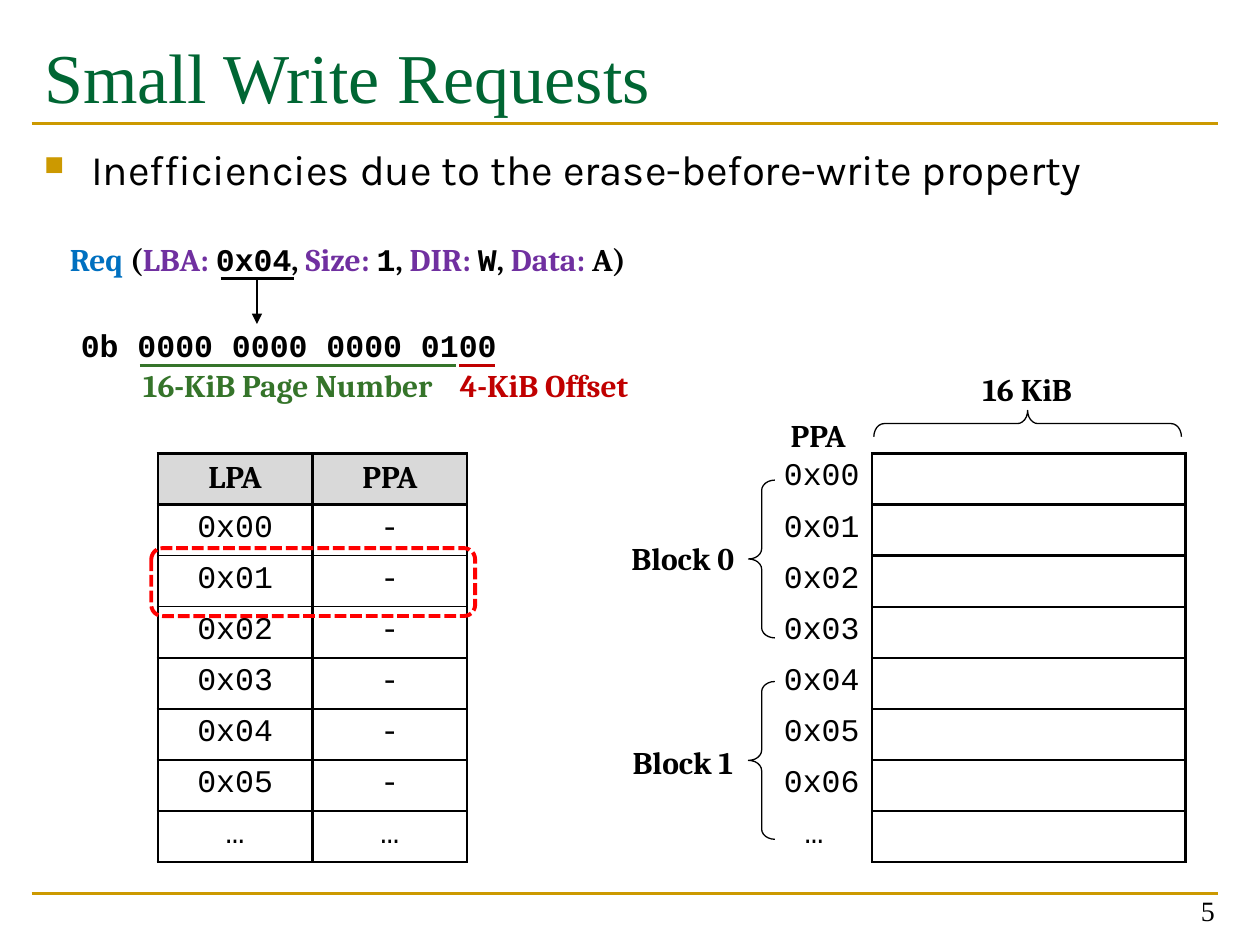
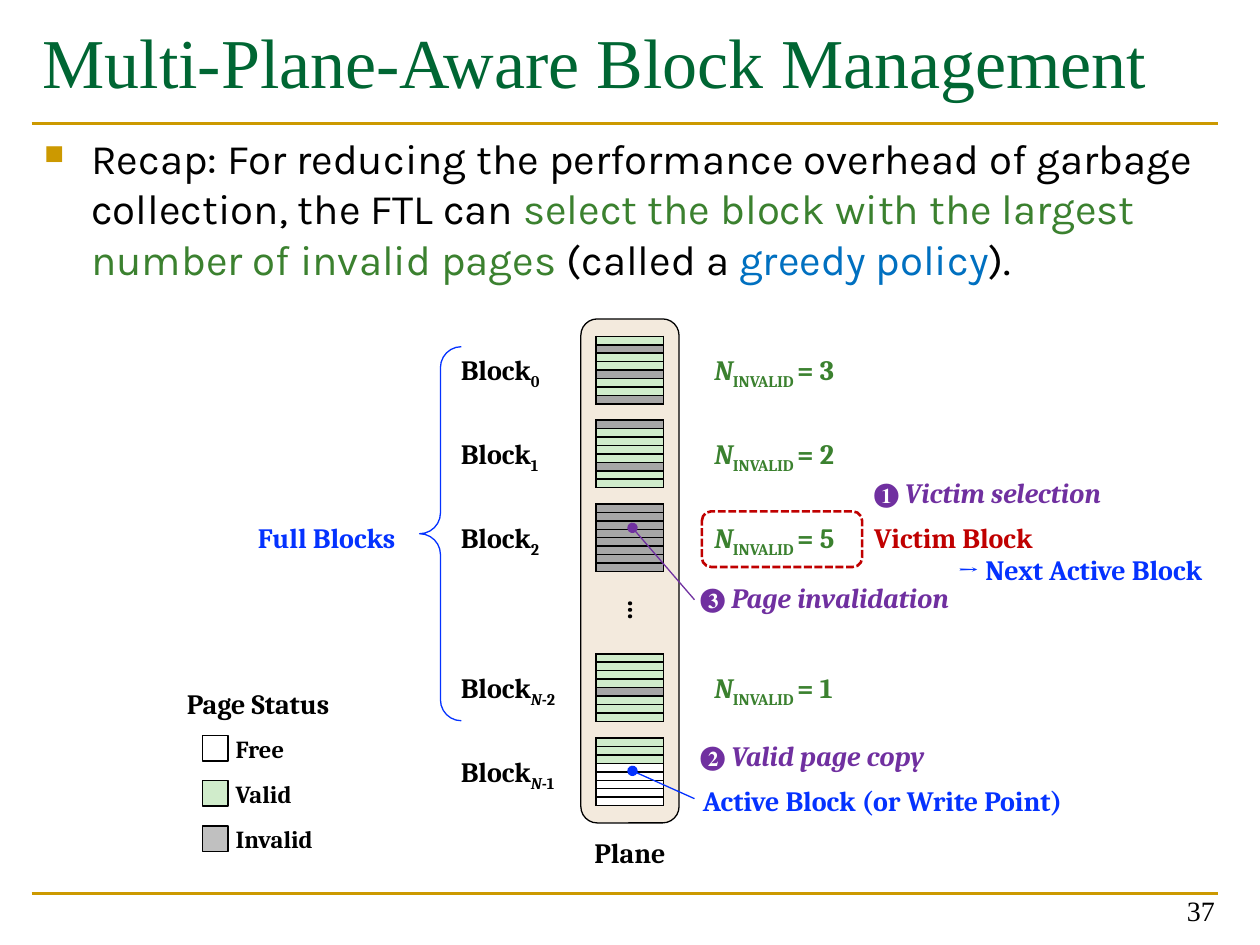
from lxml import etree
from pptx import Presentation
from pptx.dml.color import RGBColor
from pptx.enum.dml import MSO_LINE
from pptx.enum.shapes import MSO_CONNECTOR, MSO_SHAPE
from pptx.enum.text import MSO_ANCHOR, MSO_AUTO_SIZE, PP_ALIGN
from pptx.oxml.ns import qn
from pptx.util import Cm, Pt

LEFT, MID, RIGHT = PP_ALIGN.LEFT, PP_ALIGN.CENTER, PP_ALIGN.RIGHT
TOP, CENTRE, BOTTOM = MSO_ANCHOR.TOP, MSO_ANCHOR.MIDDLE, MSO_ANCHOR.BOTTOM
FIT, FIXED = MSO_AUTO_SIZE.SHAPE_TO_FIT_TEXT, MSO_AUTO_SIZE.NONE
RECT, ROUND, BRACE = MSO_SHAPE.RECTANGLE, MSO_SHAPE.ROUNDED_RECTANGLE, MSO_SHAPE.LEFT_BRACE
STRAIGHT, DASH = MSO_CONNECTOR.STRAIGHT, MSO_LINE.SQUARE_DOT

SERIF, MONO, SANS, ROMAN = "Cambria", "Courier New", "Karla", "Times New Roman"
PLAIN_GRID = "{2D5ABB26-0587-4C30-8999-92F81FD0307C}"
HEX = {
    "black": "000000", "white": "FFFFFF", "title": "006633", "gold": "CC9900",
    "sky": "0070C0", "blue": "0432FF", "plum": "7030A0", "brick": "C00000",
    "red": "FF0000", "moss": "35742A", "green": "3B812F", "head": "D9D9D9",
    "plane": "F3EADD", "valid": "D0ECCB", "stale": "A6A6A6", "grey": "C0C0C0",
}


def rgb(name):
    return RGBColor.from_string(HEX[name])


def node(parent, tag, **attrs):
    return etree.SubElement(parent, qn(tag), **attrs)


def write(par, text, font=SERIF, size=18, color="black", bold=True, italic=False, base=0):
    """Add one formatted run; base is the baseline shift in percent."""
    run = par.add_run()
    run.text = text
    face = run.font
    face.name, face.size, face.bold, face.italic = font, Pt(size), bold, italic
    face.color.rgb = rgb(color)
    if base:
        run._r.get_or_add_rPr().set("baseline", str(base * 1000))


def edge(cell, **widths):
    """Set the cell's borders: L, R, T and B in points, none where not given."""
    props = cell._tc.get_or_add_tcPr()
    for spot, side in enumerate("LRTB"):
        width = widths.get(side, 0)
        line = etree.Element(qn("a:ln" + side), w=str(Pt(width)))
        if width:
            node(node(line, "a:solidFill"), "a:srgbClr", val=HEX["black"])
        else:
            node(line, "a:noFill")
        props.insert(spot, line)


class Deck:
    """Holds the shared style and the current slide; lengths are in centimetres."""

    def __init__(self):
        self.prs = Presentation()
        self.prs.slide_width, self.prs.slide_height = Cm(25.4), Cm(19.05)
        self.shapes = None

    def start(self, title, number, spot, body, top):
        """Open a slide with its title, rules, page number and bullet."""
        self.shapes = self.prs.slides.add_slide(self.prs.slide_layouts[6]).shapes
        for y in (18.01, 2.49):
            self.line(0.64, y, 24.56, y, "gold", 1.5)
        self.text(title, *spot, 23.93, 1.88, inset=0.25, fit=FIXED, wrap=True,
                  font=ROMAN, size=40, color="title", bold=False)
        self.text(str(number), 18.82, 17.55, 5.92, 1.27, align=RIGHT, anchor=BOTTOM,
                  fit=FIXED, wrap=True, font=ROMAN, size=16, bold=False)
        box = self.text(body, 0.64, top, 23.93, 5, fit=FIXED, wrap=True,
                        font=SANS, size=24, bold=False)
        par = box.text_frame.paragraphs[0]
        par.space_before = Pt(4.8)
        props = par._p.get_or_add_pPr()
        props.set("marL", str(Cm(0.95)))
        props.set("indent", str(Cm(-0.95)))
        node(node(props, "a:buClr"), "a:srgbClr", val=HEX["gold"])
        node(props, "a:buSzPct", val="65000")
        node(props, "a:buChar", char="■")

    def text(self, parts, x, y, w, h=1.02, align=LEFT, anchor=TOP, wrap=False,
             fit=FIT, inset=0.13, turn=0, **style):
        """Place a string, or a list of (string, own format) pairs."""
        box = self.shapes.add_textbox(Cm(x), Cm(y), Cm(w), Cm(h))
        box.rotation = turn
        frame = box.text_frame
        frame.word_wrap, frame.auto_size = wrap, fit
        frame.vertical_anchor, frame.margin_top = anchor, Cm(inset)
        par = frame.paragraphs[0]
        par.alignment = align
        for words, own in [(parts, {})] if isinstance(parts, str) else parts:
            write(par, words, **{**style, **own})
        return box

    def shape(self, kind, x, y, w, h, fill=None, color="black", width=0.75, dash=None):
        item = self.shapes.add_shape(kind, Cm(x), Cm(y), Cm(w), Cm(h))
        item.shadow.inherit = False
        if fill:
            item.fill.solid()
            item.fill.fore_color.rgb = rgb(fill)
        else:
            item.fill.background()
        item.line.color.rgb, item.line.width = rgb(color), Pt(width)
        if dash:
            item.line.dash_style = dash
        return item

    def brace(self, x, y, w, h, bend=0.39, turn=0, color="black"):
        item = self.shape(BRACE, x, y, w, h, color=color)
        item.adjustments[0], item.adjustments[1] = bend, 0.5
        item.rotation = turn

    def line(self, x1, y1, x2, y2, color="black", width=0.75, head=None, tail=None):
        item = self.shapes.add_connector(STRAIGHT, Cm(x1), Cm(y1), Cm(x2), Cm(y2))
        item.line.color.rgb, item.line.width = rgb(color), Pt(width)
        stroke = item.line._get_or_add_ln()
        for tag, mark in (("a:headEnd", head), ("a:tailEnd", tail)):
            if mark:
                node(stroke, tag, type=mark)
        node(item._element.spPr, "a:effectLst")

    def grid(self, x, y, cols, count, high):
        """Add an unstyled white table."""
        size = Cm(x), Cm(y), Cm(sum(cols)), Cm(high * count)
        table = self.shapes.add_table(count, len(cols), *size).table
        table.first_row = table.horz_banding = False
        table._tbl.tblPr.find(qn("a:tableStyleId")).text = PLAIN_GRID
        for col, wide in zip(table.columns, cols):
            col.width = Cm(wide)
        for row in table.rows:
            row.height = Cm(high)
        for cell in table.iter_cells():
            self.paint(cell, "white")
        return table

    def paint(self, cell, color):
        cell.fill.solid()
        cell.fill.fore_color.rgb = rgb(color)

    def enter(self, cell, text, align=MID, **style):
        par = cell.text_frame.paragraphs[0]
        par.alignment = align
        write(par, text, **style)

    def block(self, y, states):
        """Draw a flash block, one thin row a page: Valid, Invalid or Free."""
        tint = {"V": "valid", "I": "stale", "F": "white"}
        table = self.grid(12.01, y, [1.37], len(states), 0.17)
        for cell, state in zip(table.iter_cells(), states):
            self.paint(cell, tint[state])
            edge(cell, L=1, R=1, T=1, B=1)
            cell.margin_top = cell.margin_bottom = 0
            cell.text_frame.paragraphs[0]._p.get_or_add_endParaRPr().set("sz", "100")


def writes(deck):
    deck.start("Small Write Requests", 5, (0.64, 0.43),
               "Inefficiencies due to the erase-before-write property", 2.77)
    key, code = {"color": "plum"}, {"font": MONO}
    wide = {"align": MID, "wrap": True}
    mid = {**wide, "anchor": CENTRE}
    deck.text([("Req", {"color": "sky"}), (" (", {}), ("LBA: ", key), ("0x04", code),
               (", ", {}), ("Size: ", key), ("1", code), (", ", {}), ("DIR: ", key),
               ("W", code), (", ", {}), ("Data:", key), (" A)", {})],
              0.56, 4.7, 12.9, **mid)
    deck.line(4.45, 5.61, 5.92, 5.61, width=1.5)
    deck.line(5.18, 5.61, 5.18, 6.53, width=1.5, tail="triangle")
    deck.text("0b 0000 0000 0000 0100", 0.74, 6.45, 10.16, font=MONO, **mid)
    for name, color, x1, x2, x, w in (
            ("16-KiB Page Number", "moss", 2.82, 9.19, 2.16, 7.29),
            ("4-KiB Offset", "brick", 9.25, 9.98, 8.71, 4.52)):
        deck.line(x1, 7.37, x2, 7.37, color, 1.5)
        deck.text(name, x, 7.24, w, color=color, **mid)

    pages = [f"0x{n:02}" for n in range(7)]
    top, high, count = 9.14, 1.03, 8
    rows = [("LPA", "PPA"), *((page, "-") for page in pages[:6]), ("…", "…")]
    table = deck.grid(3.18, top, [3.12, 3.12], count, high)
    for r, row in enumerate(rows):
        for c, word in enumerate(row):
            cell = table.cell(r, c)
            if r == 0:
                deck.paint(cell, "head")
                deck.enter(cell, word)
            else:
                deck.enter(cell, word, font=MONO, bold=False)
            edge(cell, L=1.5, R=1.5, T=1.5 if r < 2 else 1,
                 B=1.5 if r in (0, count - 1) else 1)

    store = deck.grid(15.24, top, [2.34] + [1.58] * 4, count, high)
    for r, word in enumerate([*pages, "…"]):
        deck.enter(store.cell(r, 0), word, MID if word == "…" else RIGHT,
                   font=MONO, bold=False)
        edge(store.cell(r, 0), R=1.5)
        for c in range(1, 5):
            ends = {1: {"L": 1.5}, 4: {"R": 1.5}}.get(c, {})
            edge(store.cell(r, c), T=1.5, B=1.5, **ends)

    deck.shape(ROUND, 3.05, 11.05, 6.53, 1.37, color="red", width=2.25, dash=DASH)
    deck.text("PPA", 15.67, 8.26, 1.65, align=MID)
    for n in range(2):
        deck.text(f"Block {n}", 12.29, 10.74 + 4.11 * n, 2.95, **wide)
        deck.brace(15.09, 9.68 + 4.06 * n, 0.53, 3.18)
    deck.brace(20.45, 5.44, 0.53, 6.2, turn=90)
    deck.text("16 KiB", 19.48, 7.32, 2.46, align=MID)


def planes(deck):
    green = {"color": "green"}
    deck.start("Multi-Plane-Aware Block Management", 37, (0.61, 0.13), [
        ("Recap: For reducing the performance overhead of garbage collection, "
         "the FTL can ", {}),
        ("select the block with the largest number of invalid pages ", green),
        ("(called a ", {}), ("greedy policy", {"color": "sky"}), (").", {})], 2.54)
    note = {"h": 0.94, "size": 16}
    low, slant = {"base": -25}, {"italic": True}
    deck.shape(ROUND, 11.71, 6.43, 1.98, 10.16, fill="plane")
    for y, states, sub, full in (
            (6.78, "VIVVIVVI", "0", 3), (8.47, "IVVVVIVV", "1", 2),
            (10.16, "IIIIIIII", "2", 5), (13.18, "VVVVIVVV", "N-2", 1),
            (14.88, "VVVFFFFF", "N-1", None)):
        deck.block(y, states)
        marks = [("N", {**low, **slant}), (sub[1:], low)] if sub[0] == "N" else [(sub, low)]
        deck.text([("Block", {}), *marks], 9.04, y + 0.2, 2.59 if sub[0] == "N" else 2.21,
                  **note)
        if full:
            deck.text([("N", slant), ("INVALID ", low), (f"= {full}", {})],
                      14.15, y + 0.2, 3.23, **note, **green)
    deck.text("…", 12.4, 11.86, 0.97, turn=90, **note)
    deck.text("Plane", 11.71, 16.71, 1.98, align=MID, **note)

    deck.brace(8.46, 6.99, 0.84, 7.54, bend=0.5, color="blue")
    deck.shape(ROUND, 14.15, 10.31, 3.23, 1.12, color="brick", width=1.5, dash=DASH)
    for words, x, y, w, color in (
            ("Full Blocks", 4.95, 10.36, 3.38, "blue"),
            ("Victim Block", 17.37, 10.36, 3.81, "brick"),
            ("→ Next Active Block", 19.05, 11, 5.69, "blue"),
            ("Active Block (or Write Point)", 13.92, 15.67, 8, "blue")):
        deck.text(words, x, y, w, color=color, **note)
    for mark, step, x, y, w in (
            ("❶ ", "Victim selection", 17.37, 9.45, 5.26),
            ("❷ ", "Valid page copy", 13.87, 14.76, 5.18),
            ("❸ ", "Page invalidation", 13.87, 11.58, 5.72)):
        deck.text([(mark, {}), (step, slant)], x, y, w, color="plum", **note)
    deck.line(12.75, 10.64, 14, 12.09, "plum", head="oval")
    deck.line(12.75, 15.54, 14, 16.1, "blue", head="oval")

    deck.text("Page Status", 3.45, 13.72, 3.51, align=MID, **note)
    for n, (name, fill, w) in enumerate((
            ("Free", "white", 1.52), ("Valid", "valid", 1.68), ("Invalid", "grey", 2.11))):
        drop = 0.91 * n
        deck.shape(RECT, 4.09, 14.83 + drop, 0.51, 0.51, fill=fill)
        deck.text(name, 4.5, 14.66 + drop, w, 0.86, anchor=CENTRE, size=14)


def main():
    deck = Deck()
    writes(deck)
    planes(deck)
    deck.prs.save("out.pptx")


if __name__ == "__main__":
    main()
